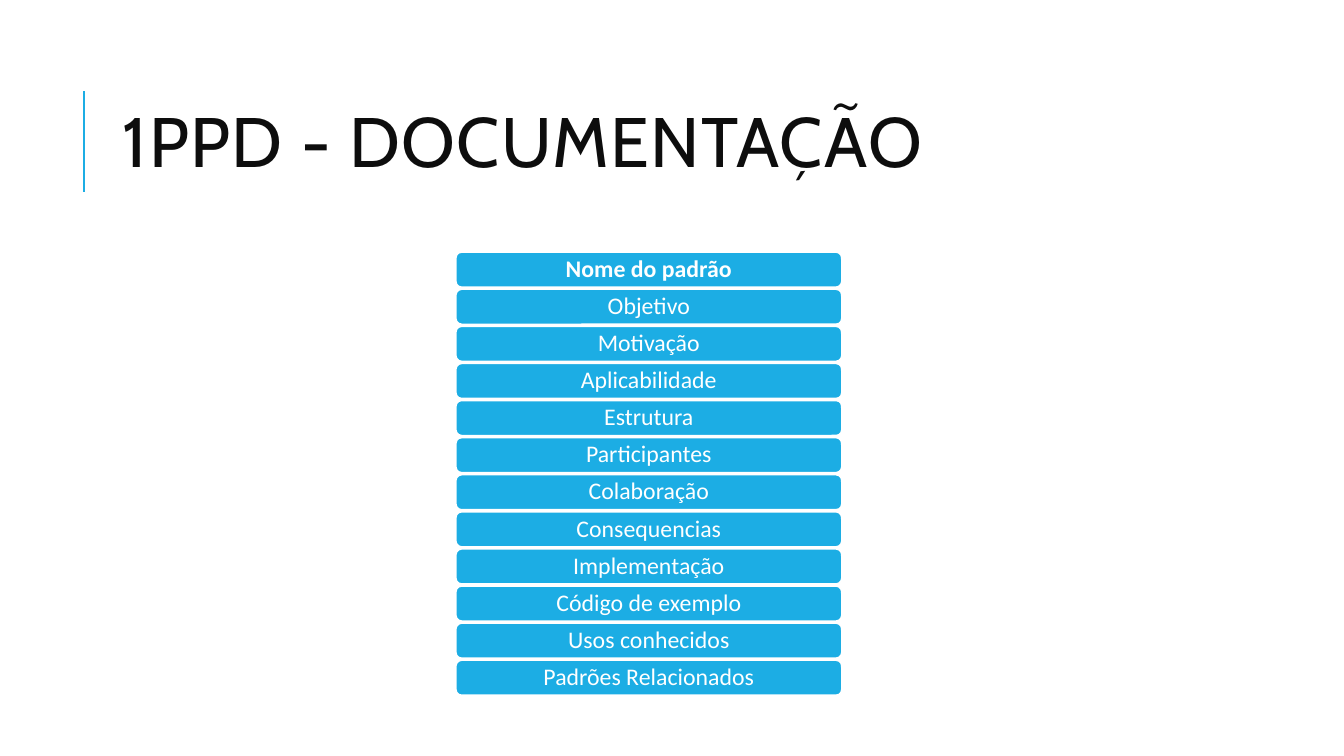
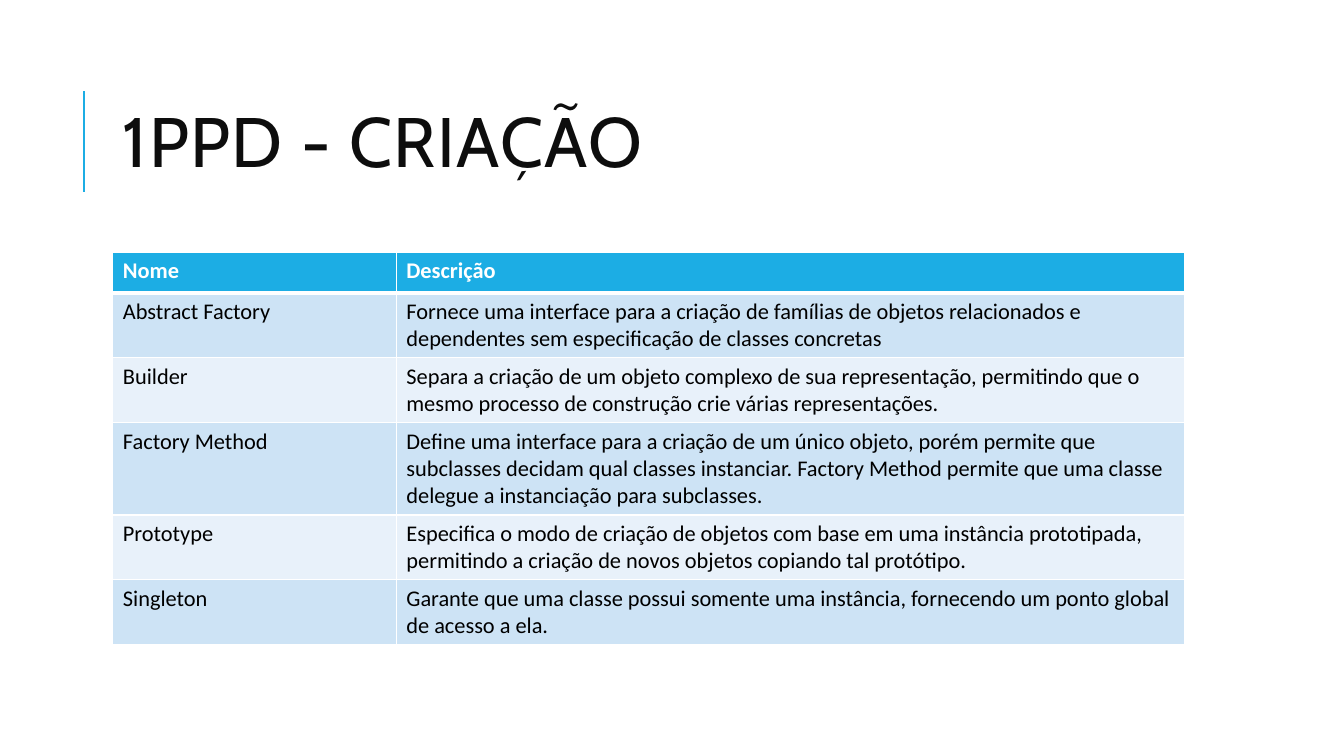
from lxml.etree import SubElement
from pptx import Presentation
from pptx.dml.color import RGBColor
from pptx.enum.shapes import MSO_CONNECTOR, MSO_SHAPE
from pptx.enum.text import MSO_ANCHOR, MSO_AUTO_SIZE, PP_ALIGN
from pptx.oxml import parse_xml
from pptx.oxml.ns import nsdecls, qn
from pptx.util import Pt

BLUE = RGBColor(0x1C, 0xAD, 0xE4)
INK = RGBColor(0x0D, 0x0D, 0x0D)
BLACK = RGBColor(0x00, 0x00, 0x00)
WHITE = RGBColor(0xFF, 0xFF, 0xFF)
BAND_DARK = RGBColor(0xCD, 0xE3, 0xF5)
BAND_LIGHT = RGBColor(0xE8, 0xF1, 0xFA)

SECTIONS = [
    "Nome do padrão", "Objetivo", "Motivação", "Aplicabilidade",
    "Estrutura", "Participantes", "Colaboração", "Consequencias",
    "Implementação", "Código de exemplo", "Usos conhecidos",
    "Padrões Relacionados",
]
PATTERNS = [
    ("Nome", "Descrição"),
    ("Abstract Factory",
     "Fornece uma interface para a criação de famílias de objetos "
     "relacionados e dependentes sem especificação de classes concretas"),
    ("Builder",
     "Separa a criação de um objeto complexo de sua representação, "
     "permitindo que o mesmo processo de construção crie várias "
     "representações."),
    ("Factory Method",
     "Define uma interface para a criação de um único objeto, porém permite "
     "que subclasses decidam qual classes instanciar. Factory Method permite "
     "que uma classe delegue a instanciação para subclasses."),
    ("Prototype",
     "Especifica o modo de criação de objetos com base em uma instância "
     "prototipada, permitindo a criação de novos objetos copiando tal "
     "protótipo."),
    ("Singleton",
     "Garante que uma classe possui somente uma instância, fornecendo um "
     "ponto global de acesso a ela."),
]


def write(tf, text, size, color, font="Calibri", bold=False,
          align=PP_ALIGN.LEFT, line_spacing=1.0, tracking=None):
    p = tf.paragraphs[0]
    p.alignment = align
    p.line_spacing = line_spacing
    r = p.add_run()
    r.text = text
    r.font.name = font
    r.font.size = Pt(size)
    r.font.bold = bold
    r.font.color.rgb = color
    if tracking:
        r.font._element.set("spc", str(tracking))


def add_titled_slide(title):
    s = prs.slides.add_slide(layout)
    rule = s.shapes.add_connector(
        MSO_CONNECTOR.STRAIGHT, Pt(60), Pt(136.8), Pt(60), Pt(65))
    rule.line.color.rgb = BLUE
    rule.line.width = Pt(1.5)
    SubElement(rule._element.spPr, qn("a:effectLst"))
    write(s.shapes.title.text_frame, title, 50, INK, font="Cabin",
          line_spacing=0.8, tracking=100)
    return s


prs = Presentation()
prs.slide_width, prs.slide_height = Pt(960), Pt(540)

# Title placement shared by both slides
layout = prs.slide_layouts.get_by_name("Title Only")
title = layout.placeholders[0]
title.left, title.top = Pt(80.64), Pt(46)
title.width, title.height = Pt(765.4), Pt(118)
title.text_frame.vertical_anchor = MSO_ANCHOR.MIDDLE
title.text_frame.auto_size = MSO_AUTO_SIZE.NONE

# Slide 1: stack of documentation sections
s = add_titled_slide("1PPD - DOCUMENTAÇÃO")
for i, section in enumerate(SECTIONS):
    bar = s.shapes.add_shape(MSO_SHAPE.ROUNDED_RECTANGLE, Pt(325.6),
                             Pt(180 + i * 26.5), Pt(275.8), Pt(25.2))
    bar.shadow.inherit = False
    bar.fill.solid()
    bar.fill.fore_color.rgb = BLUE
    bar.line.color.rgb = WHITE
    bar.line.width = Pt(1.25)
    tf = bar.text_frame
    tf.word_wrap = True
    tf.vertical_anchor = MSO_ANCHOR.MIDDLE
    tf.margin_left = tf.margin_right = Pt(6)
    tf.margin_top = tf.margin_bottom = Pt(2)
    write(tf, section, 17, WHITE, bold=i == 0, align=PP_ALIGN.CENTER,
          line_spacing=0.9)

# Slide 2: table of creational patterns
s = add_titled_slide("1PPD - CRIAÇÃO")
table = s.shapes.add_table(len(PATTERNS), 2, Pt(80.64), Pt(180),
                           Pt(765.4), Pt(29.2 * len(PATTERNS))).table
table.columns[0].width, table.columns[1].width = Pt(202.5), Pt(562.9)
for i, row in enumerate(PATTERNS):
    header = i == 0
    fill = BLUE if header else BAND_DARK if i % 2 else BAND_LIGHT
    for j, text in enumerate(row):
        cell = table.cell(i, j)
        cell.fill.solid()
        cell.fill.fore_color.rgb = fill
        write(cell.text_frame, text, 16, WHITE if header else BLACK,
              bold=header)
        widths = {"lnL": 1, "lnR": 1, "lnT": 3 if i == 1 else 1,
                  "lnB": 3 if header else 1}
        for k, (side, width) in enumerate(widths.items()):
            cell._tc.get_or_add_tcPr().insert(k, parse_xml(
                f'<a:{side} {nsdecls("a")} w="{Pt(width)}"><a:solidFill>'
                f'<a:srgbClr val="{WHITE}"/></a:solidFill></a:{side}>'))

prs.save("out.pptx")
